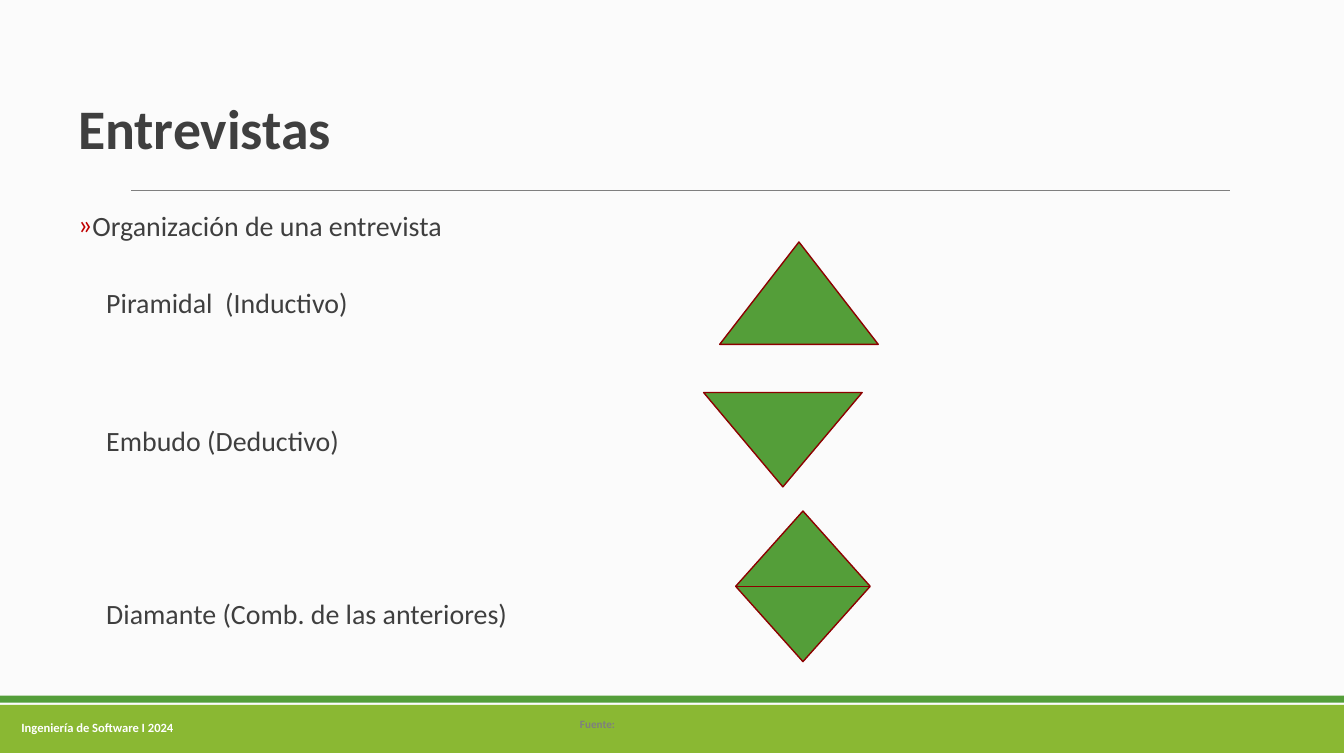
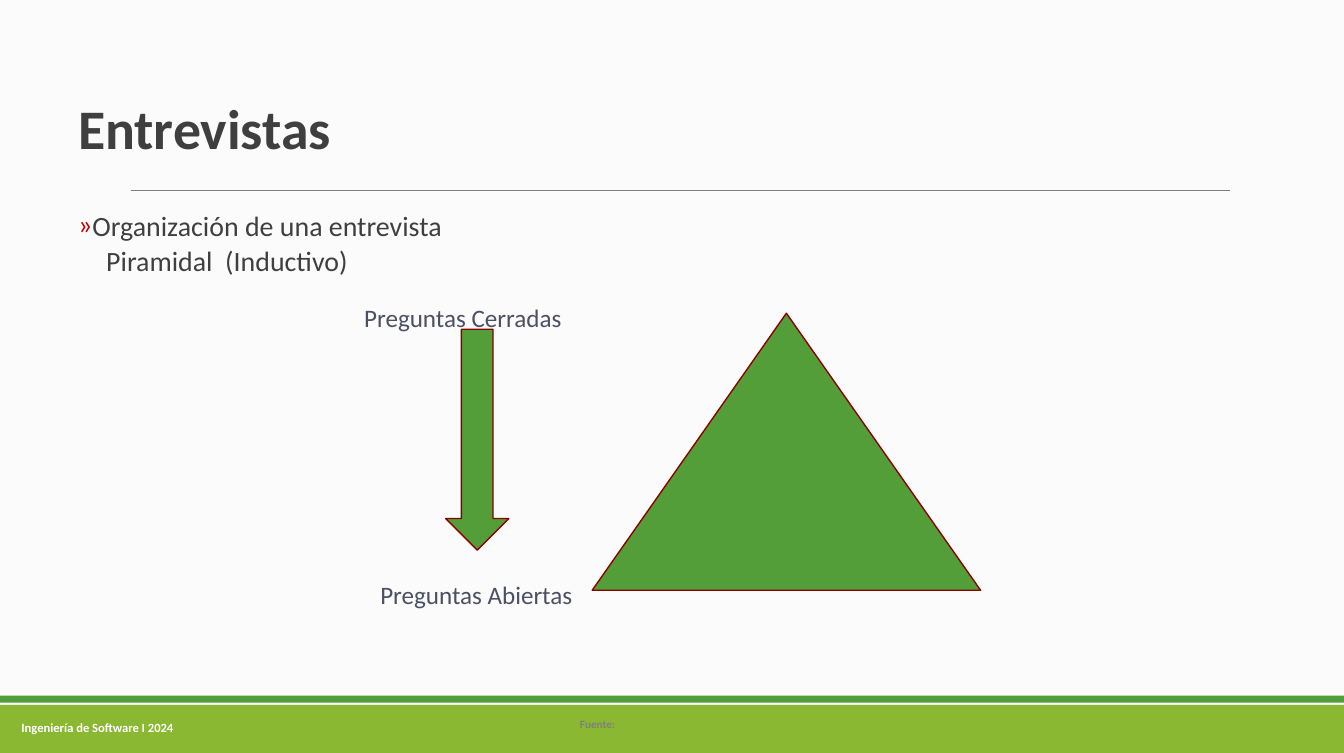
import dataclasses
import typing

import lxml.etree
import pptx
import pptx.dml.color
import pptx.enum.shapes
import pptx.enum.text
import pptx.oxml.ns
import pptx.util

SCALE = 9144
WIDE, HIGH = 1339, 750
FONT = "Calibri"
PAPER, WHITE, DARK, SLATE, GRAY = "FBFBFB", "FFFFFF", "3F3F3F", "4B5064", "7F7F7F"
GREEN, LIME, WINE, RED = "549E39", "8AB833", "8C0000", "C00000"
KIND = pptx.enum.shapes.MSO_SHAPE
ALIGN = pptx.enum.text.PP_ALIGN
ANCHOR = pptx.enum.text.MSO_ANCHOR


class Box(typing.NamedTuple):
    left: int
    top: int
    width: int
    height: int


@dataclasses.dataclass(frozen=True)
class Style:
    size: int
    tint: str
    bold: bool = False
    lead: float = 1.0
    align: ALIGN = ALIGN.LEFT
    anchor: ANCHOR = ANCHOR.TOP


@dataclasses.dataclass(frozen=True)
class Item:
    text: str
    gap: float = 0
    bullet: bool = False


@dataclasses.dataclass(frozen=True)
class Figure:
    kind: KIND
    box: Box


@dataclasses.dataclass(frozen=True)
class Label:
    text: str
    box: Box


@dataclasses.dataclass(frozen=True)
class Page:
    items: list[Item]
    figures: list[Figure]
    labels: list[Label]


TITLE = Style(40, DARK, True, 0.85, anchor=ANCHOR.MIDDLE)
BODY = Style(20, DARK, lead=0.85)
NOTE = Style(18, SLATE)
FOOT = Style(9, WHITE, True, align=ALIGN.CENTER, anchor=ANCHOR.MIDDLE)
SOURCE = Style(8, GRAY, True, anchor=ANCHOR.MIDDLE)
HEAD = Item("Organización de una entrevista", bullet=True)

PAGES = [
    Page(
        [
            HEAD,
            Item("Piramidal  (Inductivo)", 34.5),
            Item("Embudo (Deductivo)", 79),
            Item("Diamante (Comb. de las anteriores)", 103.5),
        ],
        [
            Figure(KIND.ISOSCELES_TRIANGLE, Box(717, 241, 158, 102)),
            Figure(KIND.FLOWCHART_MERGE, Box(701, 391, 158, 94)),
            Figure(KIND.FLOWCHART_SORT, Box(733, 509, 134, 150)),
        ],
        [],
    ),
    Page(
        [HEAD, Item("Piramidal  (Inductivo)", 4.5)],
        [
            Figure(KIND.ISOSCELES_TRIANGLE, Box(590, 312, 387, 276)),
            Figure(KIND.DOWN_ARROW, Box(444, 328, 63, 220)),
        ],
        [
            Label("Preguntas Cerradas", Box(353, 296, 218, 71)),
            Label("Preguntas Abiertas", Box(369, 572, 212, 71)),
        ],
    ),
]


def px(count: int) -> pptx.util.Emu:
    return pptx.util.Emu(count * SCALE)


def place(box: Box) -> list[pptx.util.Emu]:
    return [px(side) for side in box]


def paint(code: str) -> pptx.dml.color.RGBColor:
    return pptx.dml.color.RGBColor.from_string(code)


def format_text(para, style: Style) -> None:
    para.alignment = style.align
    para.line_spacing = style.lead
    for run in para.runs:
        font = run.font
        font.name = FONT
        font.size = pptx.util.Pt(style.size)
        font.bold = style.bold
        font.color.rgb = paint(style.tint)


def add_frame(slide, box: Box, style: Style):
    frame = slide.shapes.add_textbox(*place(box)).text_frame
    frame.word_wrap = True
    frame.vertical_anchor = style.anchor
    return frame


def add_text(slide, text: str, box: Box, style: Style) -> None:
    frame = add_frame(slide, box, style)
    frame.text = text
    format_text(frame.paragraphs[0], style)


def add_shape(slide, kind: KIND, box: Box, fill: str, edge: str | None = None) -> None:
    shape = slide.shapes.add_shape(kind, *place(box))
    shape.shadow.inherit = False
    shape.fill.solid()
    shape.fill.fore_color.rgb = paint(fill)
    if edge:
        shape.line.color.rgb = paint(edge)
        shape.line.width = pptx.util.Pt(1)
    else:
        shape.line.fill.background()


def add_rule(slide, left: int, right: int, top: int) -> None:
    rule = slide.shapes.add_connector(
        pptx.enum.shapes.MSO_CONNECTOR.STRAIGHT, px(left), px(top), px(right), px(top)
    )
    rule.line.color.rgb = paint(GRAY)
    rule.line.width = pptx.util.Pt(0.75)
    props = rule._element.spPr
    lxml.etree.SubElement(props, pptx.oxml.ns.qn("a:effectLst"))


def set_indent(para, bullet: bool) -> None:
    props = para._p.get_or_add_pPr()
    inset = 7 if bullet else 28
    props.set("marL", str(px(inset)))
    props.set("indent", str(px(-inset if bullet else 0)))
    if bullet:
        qn = pptx.oxml.ns.qn
        tint = lxml.etree.SubElement(props, qn("a:buClr"))
        lxml.etree.SubElement(tint, qn("a:srgbClr"), val=RED)
        lxml.etree.SubElement(props, qn("a:buFont"), typeface=FONT)
        lxml.etree.SubElement(props, qn("a:buChar"), char="»")


def add_list(slide, items: list[Item]) -> None:
    frame = add_frame(slide, Box(68, 208, 1075, 480), BODY)
    for index, item in enumerate(items):
        para = frame.add_paragraph() if index else frame.paragraphs[0]
        para.text = item.text
        set_indent(para, item.bullet)
        format_text(para, BODY)
        if item.gap:
            para.space_before = pptx.util.Pt(item.gap)


def add_base(slide) -> None:
    slide.background.fill.solid()
    slide.background.fill.fore_color.rgb = paint(PAPER)
    add_shape(slide, KIND.RECTANGLE, Box(0, 702, WIDE, 48), LIME)
    add_shape(slide, KIND.RECTANGLE, Box(0, 693, WIDE, 7), GREEN)
    add_rule(slide, 131, 1225, 190)
    add_text(slide, "Ingeniería de Software I 2024", Box(0, 705, 194, 40), FOOT)
    add_text(slide, "Fuente:", Box(568, 709, 200, 24), SOURCE)
    add_text(slide, "Entrevistas", Box(68, 70, 1183, 124), TITLE)


def add_page(deck, page: Page) -> None:
    slide = deck.slides.add_slide(deck.slide_layouts[6])
    add_base(slide)
    add_list(slide, page.items)
    for figure in page.figures:
        add_shape(slide, figure.kind, figure.box, GREEN, WINE)
    for label in page.labels:
        add_text(slide, label.text, label.box, NOTE)


def main() -> None:
    deck = pptx.Presentation()
    deck.slide_width, deck.slide_height = px(WIDE), px(HIGH)
    for page in PAGES:
        add_page(deck, page)
    deck.save("out.pptx")


if __name__ == "__main__":
    main()
